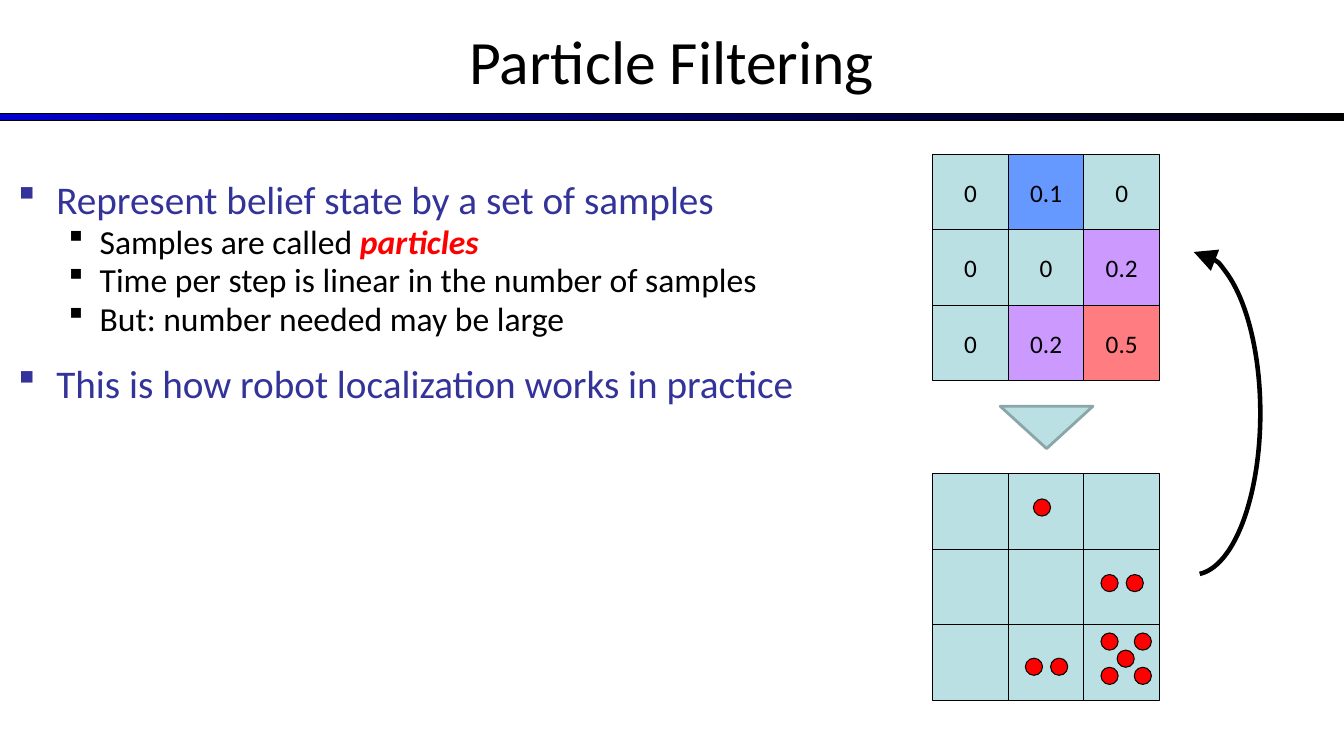
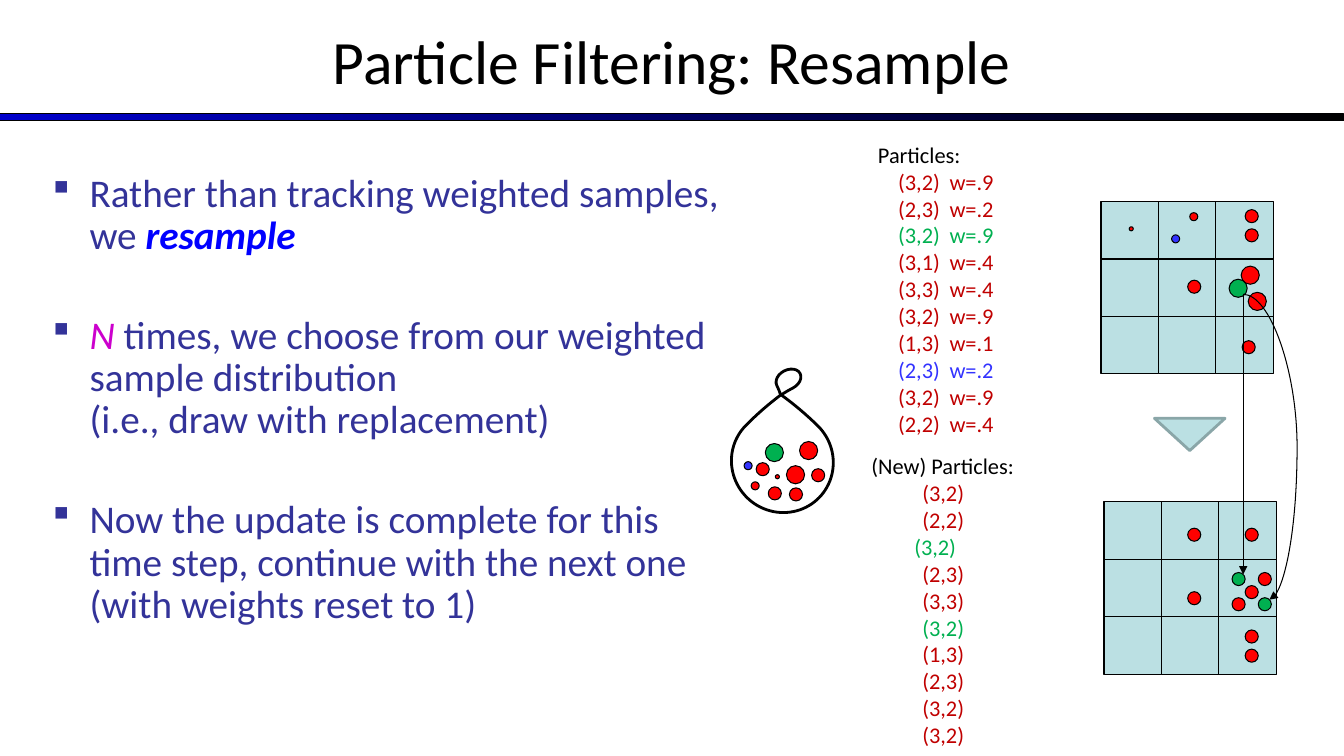
from lxml import etree
from pptx import Presentation
from pptx import util as u
from pptx.dml import color
from pptx.enum import shapes, text
from pptx.oxml import ns

FONT = "Calibri"
BLACK, RED, GREEN, BLUE = "000000", "FF0000", "00B050", "3333FF"
NAVY, DARK_RED = "333399", "C00000"
CELL, CELL_EDGE = "BBE0E3", "8AA6A8"
LOW, MID, HIGH = "6699FF", "CC99FF", "FF7C80"
SHAPE = shapes.MSO_SHAPE
CENTER = text.PP_ALIGN.CENTER


def rgb(value):
    return color.RGBColor.from_string(value)


def child(parent, tag, **attrs):
    return etree.SubElement(parent, ns.qn(tag), attrs)


def style(r, size, colour=BLACK, bold=False, italic=False):
    r.font.name = FONT
    r.font.size = u.Pt(size)
    r.font.color.rgb = rgb(colour)
    r.font.bold = bold
    r.font.italic = italic


def outline(sp, colour=BLACK, width=0.75):
    sp.line.color.rgb = rgb(colour)
    sp.line.width = u.Pt(width)


def add_arrowhead(sp, end, size="med"):
    child(sp.element.spPr.find(ns.qn("a:ln")), end, type="triangle", w=size, len=size)


def add_shape(s, kind, x, y, w, h, fill=None, edge=BLACK, width=0.75):
    sp = s.shapes.add_shape(kind, u.Inches(x), u.Inches(y), u.Inches(w), u.Inches(h))
    sp.shadow.inherit = False
    if fill:
        sp.fill.solid()
        sp.fill.fore_color.rgb = rgb(fill)
    else:
        sp.fill.background()
    outline(sp, edge, width)
    return sp


def add_textbox(s, x, y, w, h):
    tf = s.shapes.add_textbox(u.Inches(x), u.Inches(y), u.Inches(w), u.Inches(h)).text_frame
    tf.word_wrap = True
    return tf


def next_paragraph(tf, index):
    return tf.add_paragraph() if index else tf.paragraphs[0]


def add_titled_slide(prs, title):
    s = prs.slides.add_slide(prs.slide_layouts[5])
    band = add_shape(s, SHAPE.RECTANGLE, 0, 1.13, 13.33, 0.07, BLACK)
    band.fill.gradient()
    band.fill.gradient_angle = 0
    for stop, colour in zip(band.fill.gradient_stops, ("0000CC", BLACK)):
        stop.color.rgb = rgb(colour)
    sp = s.shapes.title
    sp.left, sp.top, sp.width, sp.height = map(u.Inches, (0, -0.03, 13.33, 1.25))
    tf = sp.text_frame
    tf.text = title
    tf.vertical_anchor = text.MSO_ANCHOR.MIDDLE
    p = tf.paragraphs[0]
    p.alignment = CENTER
    style(p.runs[0], 44)
    return s


def add_bullets(s, box, items, spacing):
    tf = add_textbox(s, *box)
    for i, (margin, hang, size, colour, before, runs) in enumerate(items):
        p = next_paragraph(tf, i)
        pPr = p._p.get_or_add_pPr()
        pPr.set("marL", str(u.Inches(margin)))
        pPr.set("indent", str(-u.Inches(hang)))
        child(child(pPr, "a:buClr"), "a:srgbClr", val=colour)
        child(pPr, "a:buFont", typeface="Wingdings", pitchFamily="2", charset="2")
        child(pPr, "a:buChar", char="§")
        p.line_spacing = spacing
        p.space_before = u.Pt(before)
        for words, *look in runs:
            for n, line in enumerate(words.split("\n")):
                if n:
                    p.add_line_break()
                r = p.add_run()
                r.text = line
                style(r, size, *(look or [colour]))


def add_grid(s, x, y, size, values=None, fills=None):
    for row in range(3):
        for col in range(3):
            fill = fills[row][col] if fills else CELL
            sp = add_shape(s, SHAPE.RECTANGLE, x + col * size, y + row * size, size, size, fill)
            if values:
                tf = sp.text_frame
                tf.word_wrap = False
                tf.vertical_anchor = text.MSO_ANCHOR.MIDDLE
                tf.text = values[row][col]
                p = tf.paragraphs[0]
                p.alignment = CENTER
                style(p.runs[0], 18)


def add_dots(s, size, places, fill=RED):
    for x, y in places:
        add_shape(s, SHAPE.OVAL, x, y, size, size, fill)


def add_down_triangle(s, x, y, w, h):
    add_shape(s, SHAPE.ISOSCELES_TRIANGLE, x, y, w, h, CELL, CELL_EDGE, 2).rotation = 180


def add_particle_list(s, x, y, heading, align, rows):
    tf = add_textbox(s, x, y, 1.8, 3.06)
    tf.text = heading
    tf.paragraphs[0].alignment = align
    style(tf.paragraphs[0].runs[0], 16)
    for stops, cells, colour in rows:
        p = tf.add_paragraph()
        tabs = child(p._p.get_or_add_pPr(), "a:tabLst")
        for stop in stops:
            child(tabs, "a:tab", pos=str(u.Inches(stop)), algn="l")
        r = p.add_run()
        r.text = "".join("\t" + cell for cell in cells)
        style(r, 16, colour)


def add_arrow(s, kind, x1, y1, x2, y2, bend=None):
    line = s.shapes.add_connector(kind, *map(u.Inches, (x1, y1, x2, y2)))
    outline(line)
    add_arrowhead(line, "a:tailEnd")
    child(line.element.spPr, "a:effectLst")
    if bend:
        geometry = line.element.spPr.find(ns.qn("a:prstGeom"))
        guides = geometry.find(ns.qn("a:avLst"))
        if guides is None:
            guides = child(geometry, "a:avLst")
        child(guides, "a:gd", name="adj1", fmla=f"val {round(bend * 100000)}")


def add_teardrop(s, x, y, w, h, point, rotation):
    sp = add_shape(s, SHAPE.TEAR, x, y, w, h, width=2)
    sp.adjustments[0] = point
    sp.rotation = rotation


def build_filtering(prs):
    s = add_titled_slide(prs, "Particle Filtering")
    top, sub = (0.38, 0.38, 28, NAVY), (0.81, 0.31, 24, BLACK, 4.5)
    add_bullets(s, (0.08, 1.78, 8.08, 4.66), [
        (*top, 0, [("Represent belief state by a set of samples",)]),
        (*sub, [("Samples are called ",), ("particles", RED, True, True)]),
        (*sub, [("Time per step is linear in the number of samples",)]),
        (*sub, [("But: number needed may be large",)]),
        (*top, 22, [("This is how robot localization works in practice",)]),
    ], 0.8)
    add_grid(s, 9.25, 1.53, 0.75,
             [["0", "0.1", "0"], ["0", "0", "0.2"], ["0", "0.2", "0.5"]],
             [[CELL, LOW, CELL], [CELL, CELL, MID], [CELL, MID, HIGH]])
    add_down_triangle(s, 9.92, 4.03, 0.92, 0.42)
    add_grid(s, 9.25, 4.7, 0.75)
    add_dots(s, 0.17, [
        (10.25, 4.95), (10.92, 5.7), (11.17, 5.7), (10.17, 6.53), (10.42, 6.53),
        (10.92, 6.28), (11.25, 6.28), (11.08, 6.45), (10.92, 6.62), (11.25, 6.62)])
    arc = add_shape(s, SHAPE.ARC, 11.18, 2.5, 1.32, 3.2, width=3.25)
    arc.adjustments[0] = 162
    arc.adjustments[1] = 52.73
    add_arrowhead(arc, "a:headEnd", "lg")


def build_resample(prs):
    s = add_titled_slide(prs, "Particle Filtering: Resample")
    top = (0.37, 0.37, 28, NAVY)
    add_bullets(s, (0.42, 1.67, 6.98, 5.12), [
        (*top, 0, [("Rather than tracking weighted samples, we ",),
                   ("resample", "0000FF", True, True)]),
        (*top, 41, [("N", "CC00CD", False, True),
                    (" times, we choose from our weighted sample distribution"
                     "\n(i.e., draw with replacement)",)]),
        (*top, 41, [("Now the update is complete for this time step, continue with "
                     "the next one (with weights reset to 1)",)]),
    ], 0.9)

    add_grid(s, 10.92, 2, 0.57)
    add_dots(s, 0.18, [(12.19, 2.77)], GREEN)
    add_dots(s, 0.18, [(12.38, 2.9), (12.31, 2.64)])
    add_dots(s, 0.13, [(12.35, 2.08), (12.35, 2.27), (11.78, 2.78), (12.32, 3.38)])
    add_dots(s, 0.08, [(11.62, 2.33)], BLUE)
    add_dots(s, 0.08, [(11.8, 2.11)])
    add_dots(s, 0.04, [(11.2, 2.25)])
    add_down_triangle(s, 11.45, 4.15, 0.7, 0.32)
    add_grid(s, 10.95, 4.98, 0.57)
    add_dots(s, 0.13, [
        (11.78, 5.24), (12.35, 5.24), (11.78, 5.87), (12.48, 5.68),
        (12.35, 5.81), (12.22, 5.93), (12.35, 6.25), (12.35, 6.44)])
    add_dots(s, 0.13, [(12.22, 5.68), (12.48, 5.93)], GREEN)

    weighted = [
        ("(3,2)", ".9", DARK_RED), ("(2,3)", ".2", DARK_RED), ("(3,2)", ".9", GREEN),
        ("(3,1)", ".4", DARK_RED), ("(3,3)", ".4", DARK_RED), ("(3,2)", ".9", DARK_RED),
        ("(1,3)", ".1", DARK_RED), ("(2,3)", ".2", BLUE), ("(3,2)", ".9", DARK_RED),
        ("(2,2)", ".4", DARK_RED)]
    add_particle_list(s, 8.61, 1.35, "Particles:", text.PP_ALIGN.LEFT, [
        ((0.2, 0.71), (place, "w=" + weight), colour) for place, weight, colour in weighted])
    resampled = ["(3,2)", "(2,2)", "(3,2)", "(2,3)", "(3,3)",
                 "(3,2)", "(1,3)", "(2,3)", "(3,2)", "(3,2)"]
    add_particle_list(s, 8.45, 4.44, "(New) Particles:", CENTER, [
        ((0.52 if i == 2 else 0.6,), (place,), GREEN if i in (2, 5) else DARK_RED)
        for i, place in enumerate(resampled)])

    add_arrow(s, shapes.MSO_CONNECTOR.STRAIGHT, 12.33, 2.92, 12.33, 5.7)
    add_arrow(s, shapes.MSO_CONNECTOR.CURVE, 12.33, 2.92, 12.59, 5.95, 2.06)

    add_teardrop(s, 7.26, 4.07, 1, 1.02, 0.93, 314.4)
    add_teardrop(s, 7.69, 3.67, 0.26, 0.19, 1.08, 152.5)
    add_dots(s, 0.18, [(7.59, 4.4)], GREEN)
    add_dots(s, 0.18, [(7.8, 4.62), (7.93, 4.38)])
    add_dots(s, 0.13, [(7.83, 4.84), (7.62, 4.83), (7.5, 4.59), (8.05, 4.65)])
    add_dots(s, 0.08, [(7.38, 4.58)], BLUE)
    add_dots(s, 0.08, [(7.45, 4.78)])
    add_dots(s, 0.04, [(7.69, 4.71)])


def main():
    prs = Presentation()
    prs.slide_width, prs.slide_height = u.Inches(13.33), u.Inches(7.5)
    build_filtering(prs)
    build_resample(prs)
    prs.save("out.pptx")


if __name__ == "__main__":
    main()
